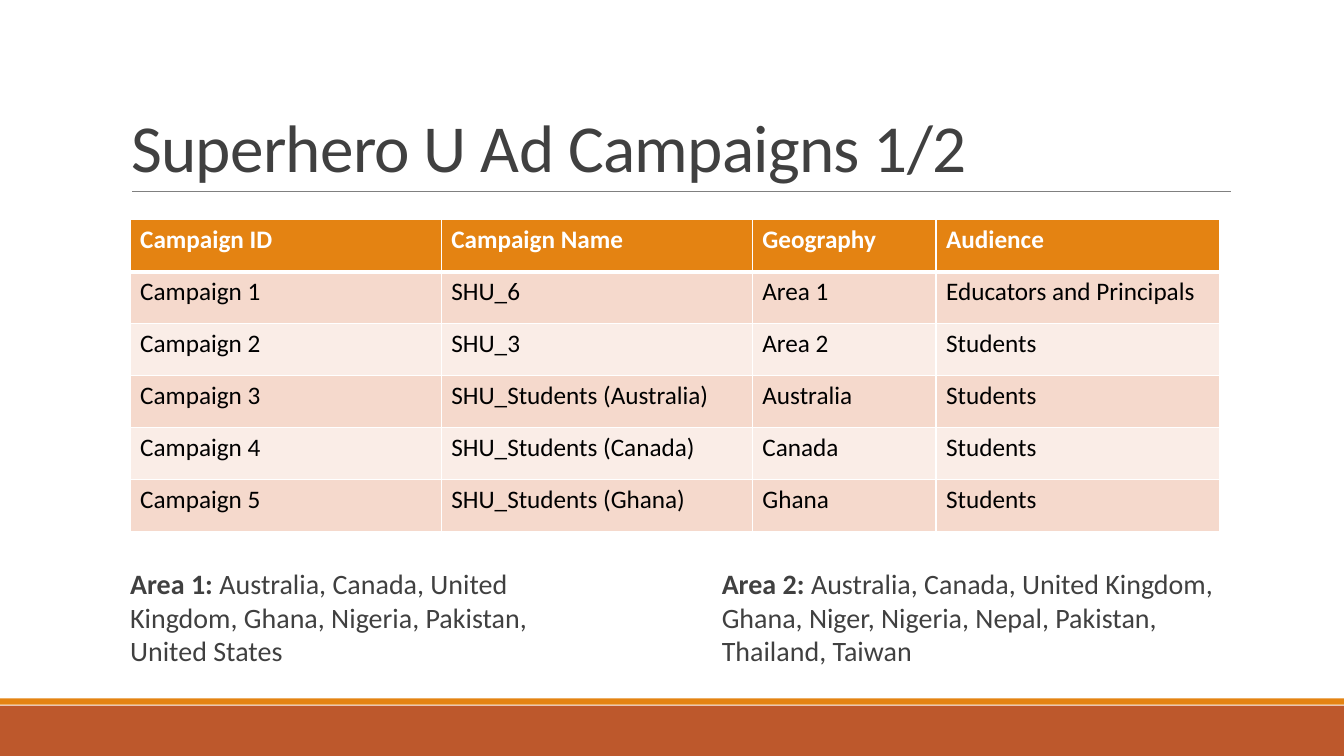
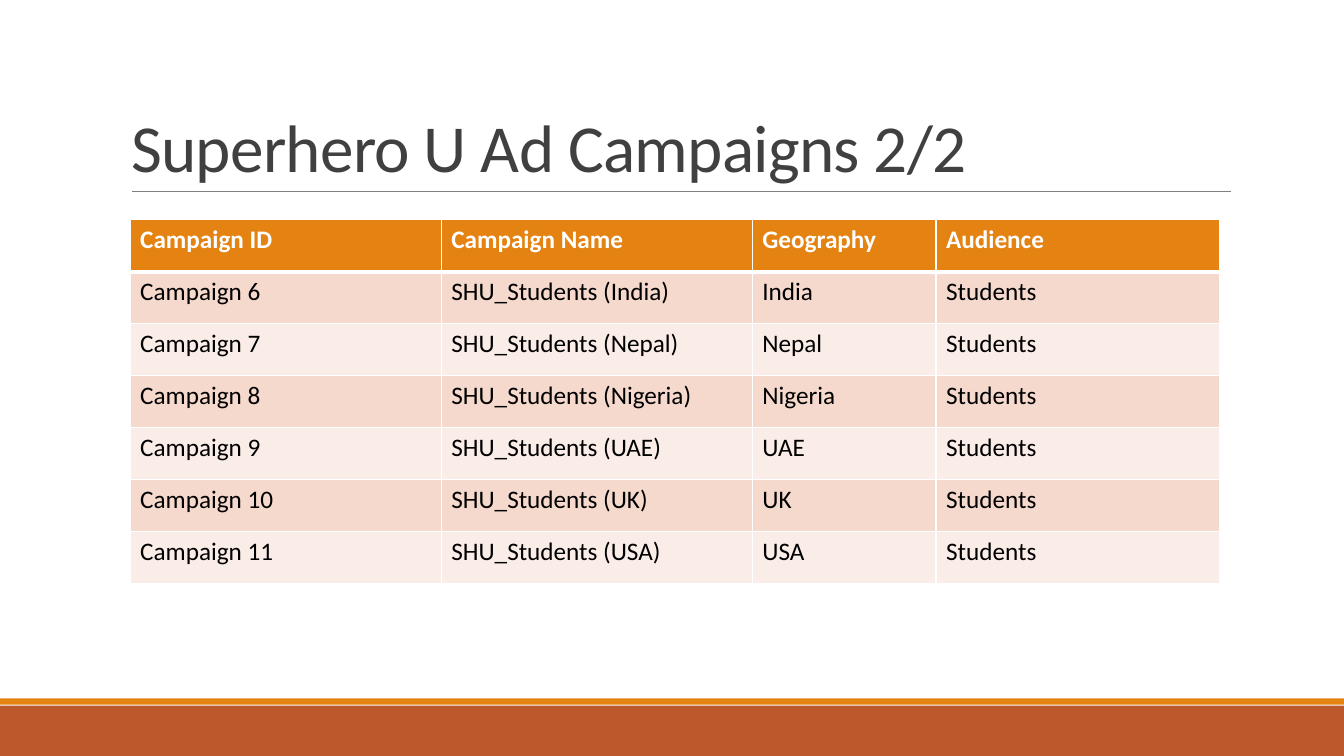
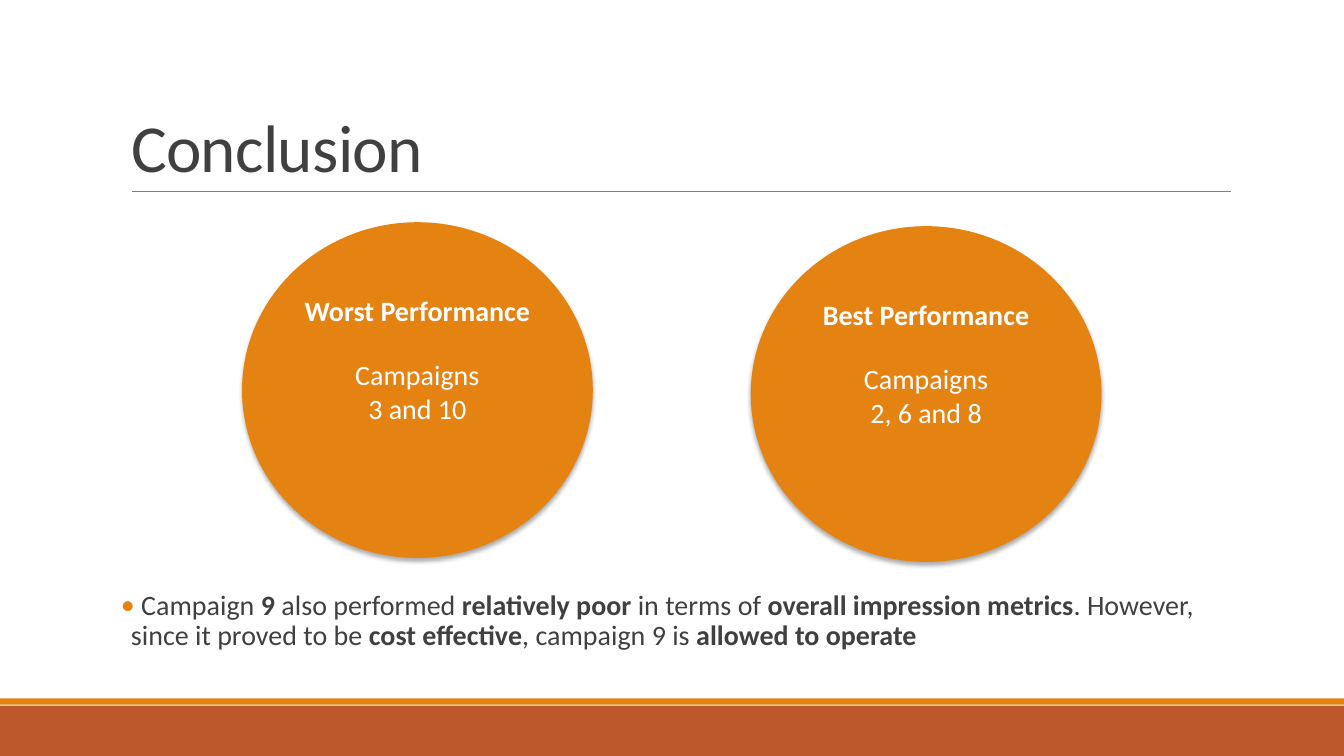
from dataclasses import dataclass

from lxml.etree import SubElement as Sub
from pptx import Presentation
from pptx.dml.color import RGBColor as RGB
from pptx.enum.shapes import MSO_CONNECTOR as Link, MSO_SHAPE as Kind
from pptx.enum.text import MSO_ANCHOR as Anchor, MSO_AUTO_SIZE as Auto, PP_ALIGN as Align
from pptx.oxml.ns import qn
from pptx.presentation import Presentation as Deck
from pptx.shapes.autoshape import Shape
from pptx.slide import Slide
from pptx.table import _Cell as Cell
from pptx.text.text import _Paragraph as Para
from pptx.util import Cm, Pt

FONT = "Calibri"
ORANGE = RGB(0xE4, 0x83, 0x12)
RUST = RGB(0xBD, 0x58, 0x2C)
ROSE = RGB(0xF5, 0xD9, 0xCC)
BLUSH = RGB(0xFA, 0xED, 0xE7)
DARK = RGB(0x40, 0x40, 0x40)
GREY = RGB(0x80, 0x80, 0x80)
WHITE = RGB(0xFF, 0xFF, 0xFF)
BLACK = RGB(0x00, 0x00, 0x00)

WIDE, HIGH = 33.87, 19.05
HEAD = ("Campaign ID", "Campaign Name", "Geography", "Audience")
COLS = (7.84, 7.84, 4.63, 7.15)
ROW = 1.31

Row = tuple[str, str, str]


@dataclass
class Box:
    left: float
    top: float
    width: float
    height: float

    def place(self) -> tuple[Cm, Cm, Cm, Cm]:
        return Cm(self.left), Cm(self.top), Cm(self.width), Cm(self.height)


@dataclass
class Band:
    box: Box
    color: RGB


@dataclass
class Note:
    box: Box
    text: str


@dataclass
class Disc:
    left: float
    top: float
    head: str
    items: str


BANDS = (
    Band(Box(0, 17.78, WIDE, 1.27), RUST),
    Band(Box(0, 17.6, WIDE, 0.16), ORANGE),
)
AREAS = (
    Note(Box(3.28, 14.15, 11.61, 2.82),
         "**Area 1: **Australia, Canada, United Kingdom, Ghana, Nigeria, "
         "Pakistan, United States"),
    Note(Box(18.19, 14.15, 12.57, 2.82),
         "**Area 2: **Australia, Canada, United Kingdom, Ghana, Niger, "
         "Nigeria, Nepal, Pakistan, Thailand, Taiwan"),
)
DISCS = (
    Disc(6.1, 5.6, "Worst Performance", "3 and 10"),
    Disc(18.92, 5.7, "Best Performance", "2, 6 and 8"),
)
CLOSE = Note(
    Box(3.05, 14.78, 27.94, 1.98),
    " Campaign **9** also performed **relatively poor** in terms of "
    "**overall impression metrics**. However, since it proved to be "
    "**cost effective**, campaign 9 is **allowed to operate**",
)


def style(para: Para, size: int, color: RGB, bold: bool = False) -> None:
    font = para.font
    font.name, font.size, font.bold = FONT, Pt(size), bold
    font.color.rgb = color


def add_form(slide: Slide, kind: Kind, box: Box, color: RGB) -> Shape:
    form = slide.shapes.add_shape(kind, *box.place())
    form.shadow.inherit = False
    form.fill.solid()
    form.fill.fore_color.rgb = color
    form.line.fill.background()
    return form


def add_page(deck: Deck, title: str) -> Slide:
    """Add a slide with the shared bands, rule and title."""
    slide = deck.slides.add_slide(deck.slide_layouts[5])
    for band in BANDS:
        add_form(slide, Kind.RECTANGLE, band.box, band.color)

    # Rule under the title
    rule = slide.shapes.add_connector(
        Link.STRAIGHT, Cm(3.33), Cm(4.83), Cm(31.01), Cm(4.83))
    rule.line.color.rgb = GREY
    rule.line.width = Pt(0.5)
    Sub(rule.element.spPr, qn("a:effectLst"))

    # Title
    head = slide.shapes.title
    head.left, head.top, head.width, head.height = Box(3.05, 0.79, 27.94, 4.04).place()
    frame = head.text_frame
    frame.text = title
    frame.auto_size = Auto.NONE
    frame.vertical_anchor = Anchor.BOTTOM
    para = frame.paragraphs[0]
    para.alignment = Align.LEFT
    para.line_spacing = 0.85
    style(para, 48, DARK)
    para.runs[0].font._element.set("spc", "-50")
    return slide


def add_note(slide: Slide, note: Note) -> Para:
    """Add a text box; parts between ** marks are bold."""
    frame = slide.shapes.add_textbox(*note.box.place()).text_frame
    frame.word_wrap = True
    frame.margin_left = frame.margin_right = 0
    para = frame.paragraphs[0]
    for i, part in enumerate(note.text.split("**")):
        if part:
            run = para.add_run()
            run.text = part
            run.font.bold = i % 2 == 1
    return para


def edge(cell: Cell, top: int, base: int) -> None:
    """Draw white cell borders, with top and base widths in points."""
    props = cell._tc.get_or_add_tcPr()
    for side, width in (("L", 1), ("R", 1), ("T", top), ("B", base)):
        line = Sub(props, qn(f"a:ln{side}"), w=str(Pt(width)))
        Sub(Sub(line, qn("a:solidFill")), qn("a:srgbClr"), val=str(WHITE))


def add_grid(slide: Slide, rows: list[Row], start: int) -> None:
    """Add a campaign table whose IDs count up from start."""
    lines = [HEAD] + [(f"Campaign {n}", *row) for n, row in enumerate(rows, start)]
    box = Box(3.28, 5.54, sum(COLS), ROW * len(lines))
    grid = slide.shapes.add_table(len(lines), len(COLS), *box.place()).table
    for col, width in zip(grid.columns, COLS):
        col.width = Cm(width)
    for r, line in enumerate(lines):
        grid.rows[r].height = Cm(ROW)
        first = r == 0
        fill = ORANGE if first else (ROSE if r % 2 else BLUSH)
        for c, text in enumerate(line):
            cell = grid.cell(r, c)
            edge(cell, 3 if r == 1 else 1, 3 if first else 1)
            cell.fill.solid()
            cell.fill.fore_color.rgb = fill
            cell.text = text
            style(cell.text_frame.paragraphs[0], 18, WHITE if first else BLACK, first)


def add_disc(slide: Slide, disc: Disc) -> None:
    form = add_form(slide, Kind.OVAL, Box(disc.left, disc.top, 8.84, 8.46), ORANGE)

    # Soft shadow below
    glow = Sub(form.element.spPr.find(qn("a:effectLst")), qn("a:outerShdw"),
               blurRad=str(Pt(3.5)), dist=str(Pt(2.2)), dir="5400000",
               algn="ctr", rotWithShape="0")
    Sub(Sub(glow, qn("a:srgbClr"), val=str(BLACK)), qn("a:alpha"), val="32000")

    # Text, raised by a deep bottom margin
    frame = form.text_frame
    frame.word_wrap = True
    frame.vertical_anchor = Anchor.MIDDLE
    frame.margin_bottom = Cm(1.68)
    frame.text = "\n".join((disc.head, "Campaigns", disc.items))
    for i, para in enumerate(frame.paragraphs):
        para.alignment = Align.CENTER
        style(para, 20, WHITE, i == 0)
    frame.paragraphs[1].space_before = Pt(22)


def add_point(slide: Slide, note: Note) -> None:
    """Add a note with an orange bullet."""
    para = add_note(slide, note)
    props = para._p.get_or_add_pPr()
    props.set("marL", str(Cm(0.25)))
    props.set("indent", str(-Cm(0.25)))
    Sub(Sub(props, qn("a:buClr")), qn("a:srgbClr"), val=str(ORANGE))
    Sub(props, qn("a:buFont"), typeface=FONT)
    Sub(props, qn("a:buChar"), char="•")
    para.line_spacing = 0.9
    style(para, 20, DARK)


def pupils(*lands: str) -> list[Row]:
    return [(f"SHU_Students ({land})", land, "Students") for land in lands]


def main() -> None:
    deck = Presentation()
    deck.slide_width, deck.slide_height = Cm(WIDE), Cm(HIGH)

    # Campaigns 1 to 5
    slide = add_page(deck, "Superhero U Ad Campaigns 1/2")
    mixed = [("SHU_6", "Area 1", "Educators and Principals"),
             ("SHU_3", "Area 2", "Students")]
    add_grid(slide, mixed + pupils("Australia", "Canada", "Ghana"), 1)
    for area in AREAS:
        style(add_note(slide, area), 20, DARK)

    # Campaigns 6 to 11
    slide = add_page(deck, "Superhero U Ad Campaigns 2/2")
    add_grid(slide, pupils("India", "Nepal", "Nigeria", "UAE", "UK", "USA"), 6)

    # Conclusion
    slide = add_page(deck, "Conclusion")
    for disc in DISCS:
        add_disc(slide, disc)
    add_point(slide, CLOSE)

    deck.save("out.pptx")


if __name__ == "__main__":
    main()
